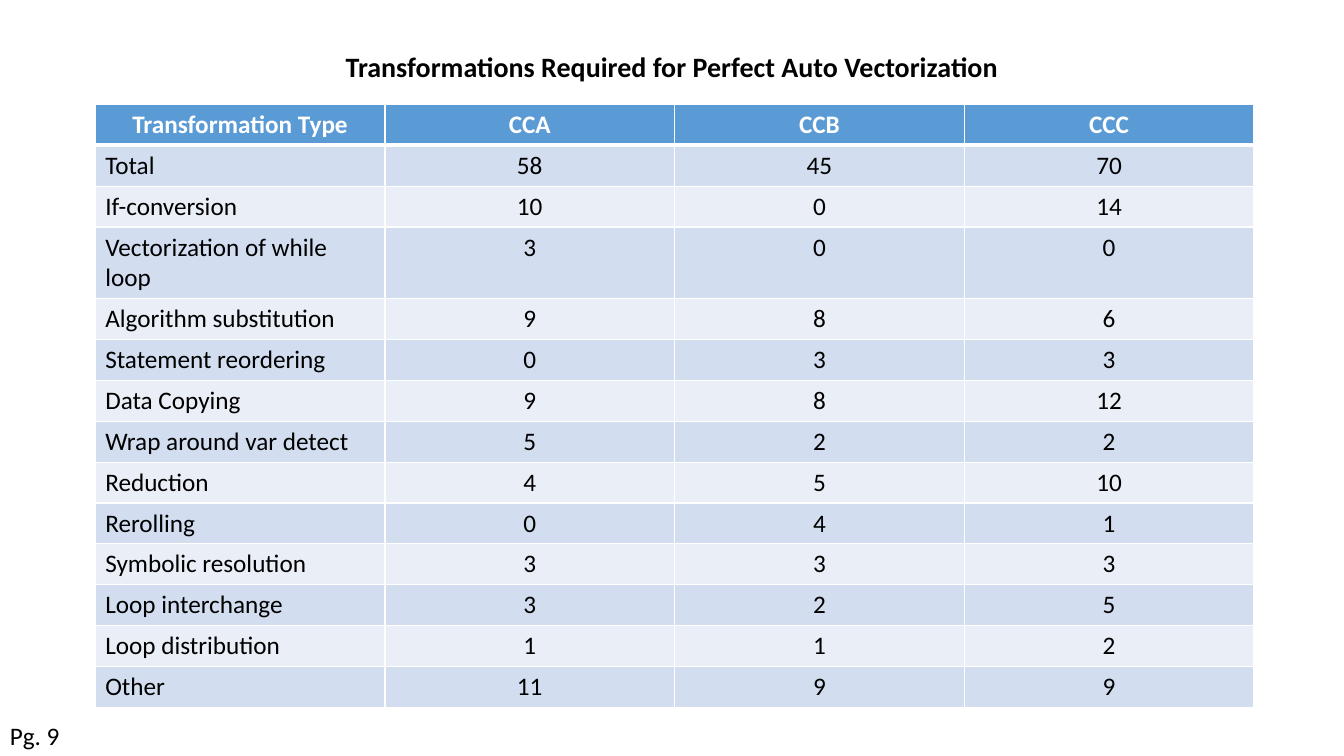
from dataclasses import dataclass

from lxml import etree
from pptx import Presentation
from pptx.dml.color import RGBColor
from pptx.enum import text
from pptx.oxml import ns
from pptx.util import Cm, Pt


@dataclass(frozen=True)
class Theme:
    font: str = "Calibri"
    ink: str = "000000"
    white: str = "FFFFFF"
    header: str = "5B9BD5"
    bands: tuple = ("D2DEEF", "EAEFF7")
    title_size: int = 20
    body_size: int = 18
    rule: int = 1
    header_rule: int = 3


THEME = Theme()

HEADINGS = ("Transformation Type", "CCA", "CCB", "CCC")
COUNTS = (
    ("Total", 58, 45, 70),
    ("If-conversion", 10, 0, 14),
    ("Vectorization of while loop", 3, 0, 0),
    ("Algorithm substitution", 9, 8, 6),
    ("Statement reordering", 0, 3, 3),
    ("Data Copying", 9, 8, 12),
    ("Wrap around var detect", 5, 2, 2),
    ("Reduction", 4, 5, 10),
    ("Rerolling", 0, 4, 1),
    ("Symbolic resolution", 3, 3, 3),
    ("Loop interchange", 3, 2, 5),
    ("Loop distribution", 1, 1, 2),
    ("Other", 11, 9, 9),
)


def add_span(para, words, size, color=THEME.ink, bold=False):
    span = para.add_run()
    span.text = words
    span.font.name = THEME.font
    span.font.size = Pt(size)
    span.font.bold = bold
    span.font.color.rgb = RGBColor.from_string(color)


def add_label(page, words, left, top, width, height, size, bold=False):
    box = page.shapes.add_textbox(Cm(left), Cm(top), Cm(width), Cm(height))
    frame = box.text_frame
    frame.word_wrap = False
    frame.auto_size = text.MSO_AUTO_SIZE.SHAPE_TO_FIT_TEXT
    add_span(frame.paragraphs[0], words, size, bold=bold)


def set_borders(cell, widths):
    """Draw white cell borders; widths maps each side (L, R, T, B) to points."""
    properties = cell._tc.get_or_add_tcPr()
    for side, width in widths.items():
        line = etree.SubElement(properties, ns.qn(f"a:ln{side}"), w=str(Pt(width)))
        fill = etree.SubElement(line, ns.qn("a:solidFill"))
        etree.SubElement(fill, ns.qn("a:srgbClr"), val=THEME.white)


def fill_cell(cell, words, row, column):
    is_header = row == 0
    widths = dict.fromkeys("LRTB", THEME.rule)
    if is_header:
        widths["B"] = THEME.header_rule
    elif row == 1:
        widths["T"] = THEME.header_rule
    set_borders(cell, widths)
    cell.fill.solid()
    shade = THEME.header if is_header else THEME.bands[(row - 1) % 2]
    cell.fill.fore_color.rgb = RGBColor.from_string(shade)
    para = cell.text_frame.paragraphs[0]
    if is_header or column > 0:
        para.alignment = text.PP_ALIGN.CENTER
    color = THEME.white if is_header else THEME.ink
    add_span(para, str(words), THEME.body_size, color, bold=is_header)


def add_counts_table(page, left, top, column_width, row_height):
    rows = (HEADINGS, *COUNTS)
    frame = page.shapes.add_table(
        len(rows), len(HEADINGS), Cm(left), Cm(top),
        Cm(column_width * len(HEADINGS)), Cm(row_height * len(rows)))
    table = frame.table
    for column in table.columns:
        column.width = Cm(column_width)
    for row, values in enumerate(rows):
        table.rows[row].height = Cm(row_height)
        for column, value in enumerate(values):
            fill_cell(table.cell(row, column), value, row, column)


def main():
    deck = Presentation()
    deck.slide_width, deck.slide_height = Cm(33.87), Cm(19.05)
    page = deck.slides.add_slide(deck.slide_layouts[6])
    add_counts_table(page, left=2.4, top=2.63, column_width=7.3, row_height=1.03)
    add_label(page, "Transformations Required for Perfect Auto Vectorization",
              8.46, 1.12, 17.1, 1.11, THEME.title_size, bold=True)
    add_label(page, "Pg. 9", 0, 18.03, 1.78, 1.02, THEME.body_size)
    deck.save("out.pptx")


if __name__ == "__main__":
    main()
